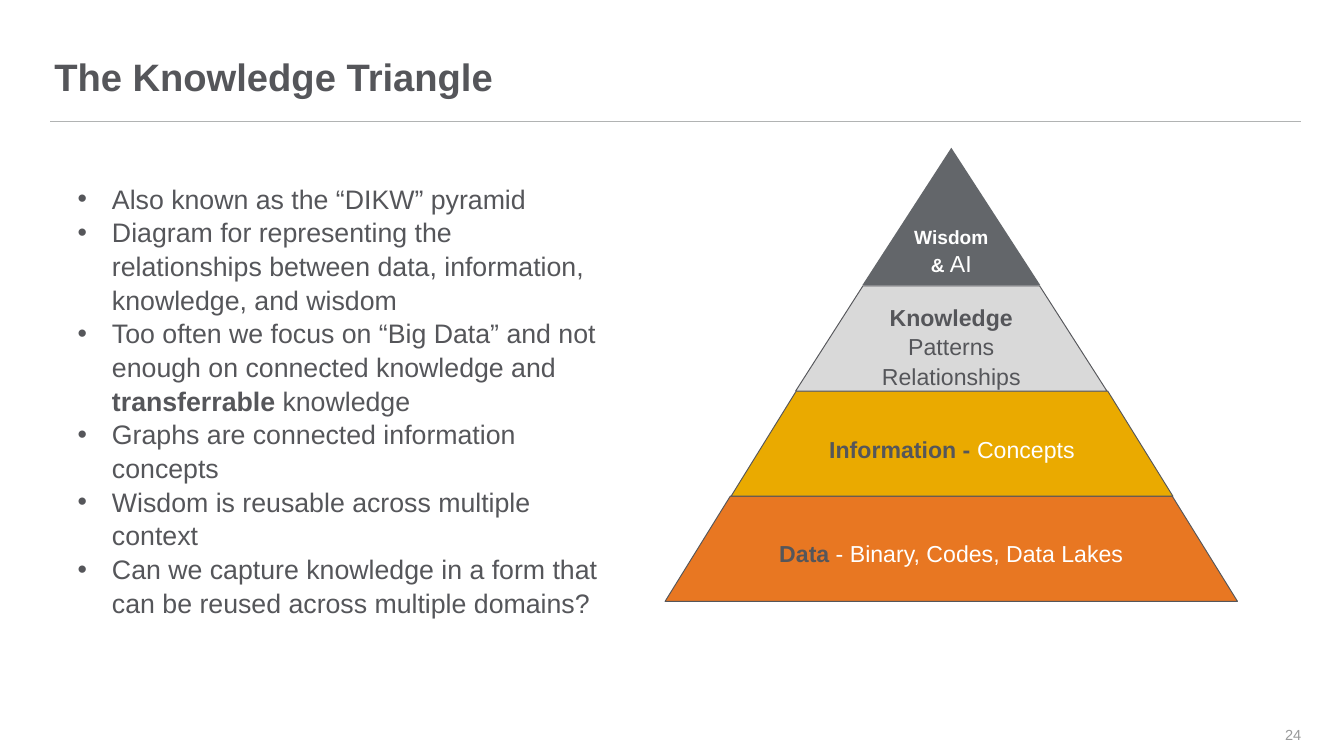
from lxml.etree import SubElement
from pptx import Presentation
from pptx.dml.color import RGBColor
from pptx.enum.shapes import MSO_CONNECTOR, MSO_SHAPE
from pptx.enum.text import MSO_ANCHOR as Anchor, MSO_AUTO_SIZE as AutoSize, PP_ALIGN as Align
from pptx.oxml.ns import qn
from pptx.util import Emu, Pt

PX = 9144  # 100 px to the inch
FONT = "Arial"
DARK, WHITE = "55565A", "FFFFFF"
LABEL_SIZE = 24.2
LINE_SPACING = 1.05

BULLETS = [
    [("Also known as the “DIKW” pyramid", False)],
    [("Diagram for representing the relationships between data, information, "
      "knowledge, and wisdom", False)],
    [("Too often we focus on “Big Data” and not enough on connected knowledge and ", False),
     ("transferrable", True), (" knowledge", False)],
    [("Graphs are connected information concepts", False)],
    [("Wisdom is reusable across multiple context", False)],
    [("Can we capture knowledge in a form that can be reused across multiple domains?", False)],
]

# Pyramid levels below the top: left, top, width, slant, fill, runs (text, colour, bold)
LEVELS = [
    (968, 722, 833, 0.62, "E87722",
     [("Data", DARK, True), (" - Binary, Codes, Data Lakes", WHITE, False)]),
    (1064, 569, 643, 0.62, "EAAA00",
     [("Information - ", DARK, True), ("Concepts", WHITE, False)]),
    (1158, 416, 453, 0.64, "D9D9D9",
     [("Knowledge", DARK, True), (" Patterns Relationships", DARK, False)]),
]
LEVEL_HEIGHT = 153


def px(length):
    return Emu(length * PX)


def colour(value):
    return RGBColor.from_string(value)


def place(shape, left, top, width, height):
    shape.left, shape.top = px(left), px(top)
    shape.width, shape.height = px(width), px(height)


def set_frame(shape, anchor, across=10, down=5):
    frame = shape.text_frame
    frame.word_wrap = True
    frame.auto_size = AutoSize.NONE
    frame.vertical_anchor = anchor
    frame.margin_left = frame.margin_right = px(across)
    frame.margin_top = frame.margin_bottom = px(down)
    return frame


def set_paragraph(paragraph, align, spacing=LINE_SPACING):
    paragraph.alignment = align
    paragraph.line_spacing = spacing
    paragraph.space_before = Pt(0)


def add_run(paragraph, text, size, shade, bold=False):
    run = paragraph.add_run()
    run.text = text
    run.font.name = FONT
    run.font.size = Pt(size)
    run.font.bold = bold
    run.font.color.rgb = colour(shade)


def add_title(slide, text):
    title = slide.shapes.title
    place(title, 79, 0, 1815, 145)
    paragraph = set_frame(title, Anchor.BOTTOM, 0, 0).paragraphs[0]
    set_paragraph(paragraph, Align.LEFT, 0.9)
    add_run(paragraph, text, 40, DARK, True)


def add_rule(slide):
    rule = slide.shapes.add_connector(
        MSO_CONNECTOR.STRAIGHT, px(73), px(177), px(1894), px(177))
    rule.line.color.rgb = colour("B1B3B3")
    rule.line.width = Pt(1)
    SubElement(rule._element.spPr, qn("a:effectLst"))


def add_bullets(slide, items):
    body = slide.placeholders[1]
    place(body, 103, 258, 785, 670)
    frame = set_frame(body, Anchor.TOP)
    for index, runs in enumerate(items):
        paragraph = frame.add_paragraph() if index else frame.paragraphs[0]
        set_paragraph(paragraph, Align.LEFT)
        properties = paragraph._p.get_or_add_pPr()
        properties.set("marL", str(px(50)))
        properties.set("indent", str(px(-50)))
        SubElement(properties, qn("a:buFont"), typeface=FONT)
        SubElement(properties, qn("a:buChar"), char="•")
        for text, bold in runs:
            add_run(paragraph, text, 28, DARK, bold)


def add_level(slide, kind, box, fill, outline=None, across=10):
    """Add one pyramid level and return it with its centred paragraph."""
    shape = slide.shapes.add_shape(kind, *map(px, box))
    shape.shadow.inherit = False
    shape.fill.solid()
    shape.fill.fore_color.rgb = colour(fill)
    if outline:
        shape.line.color.rgb = colour(outline)
        shape.line.width = Pt(1)
    else:
        shape.line.fill.background()
    paragraph = set_frame(shape, Anchor.MIDDLE, across).paragraphs[0]
    set_paragraph(paragraph, Align.CENTER)
    return shape, paragraph


def add_pyramid(slide):
    for left, top, width, slant, fill, runs in LEVELS:
        box = (left, top, width, LEVEL_HEIGHT)
        shape, paragraph = add_level(slide, MSO_SHAPE.TRAPEZOID, box, fill, DARK)
        shape.adjustments[0] = slant
        for text, shade, bold in runs:
            add_run(paragraph, text, LABEL_SIZE, shade, bold)

    # Top of the pyramid
    _, paragraph = add_level(slide, MSO_SHAPE.ISOSCELES_TRIANGLE,
                             (1255, 215, 259, 200), "63666A", across=0)
    add_run(paragraph, "Wisdom & ", 20, WHITE, True)
    add_run(paragraph, "AI", LABEL_SIZE, WHITE)


def add_page_number(slide, number):
    box = slide.shapes.add_textbox(px(1807), px(1040), px(87), px(59))
    paragraph = set_frame(box, Anchor.MIDDLE, 0, 0).paragraphs[0]
    set_paragraph(paragraph, Align.RIGHT, 1.0)
    add_run(paragraph, number, 15.3, "999A9B")


def main():
    presentation = Presentation()
    presentation.slide_width, presentation.slide_height = px(1956), px(1100)
    slide = presentation.slides.add_slide(presentation.slide_layouts[1])
    add_rule(slide)
    add_title(slide, "The Knowledge Triangle")
    add_page_number(slide, "24")
    add_bullets(slide, BULLETS)
    add_pyramid(slide)
    presentation.save("out.pptx")


if __name__ == "__main__":
    main()
